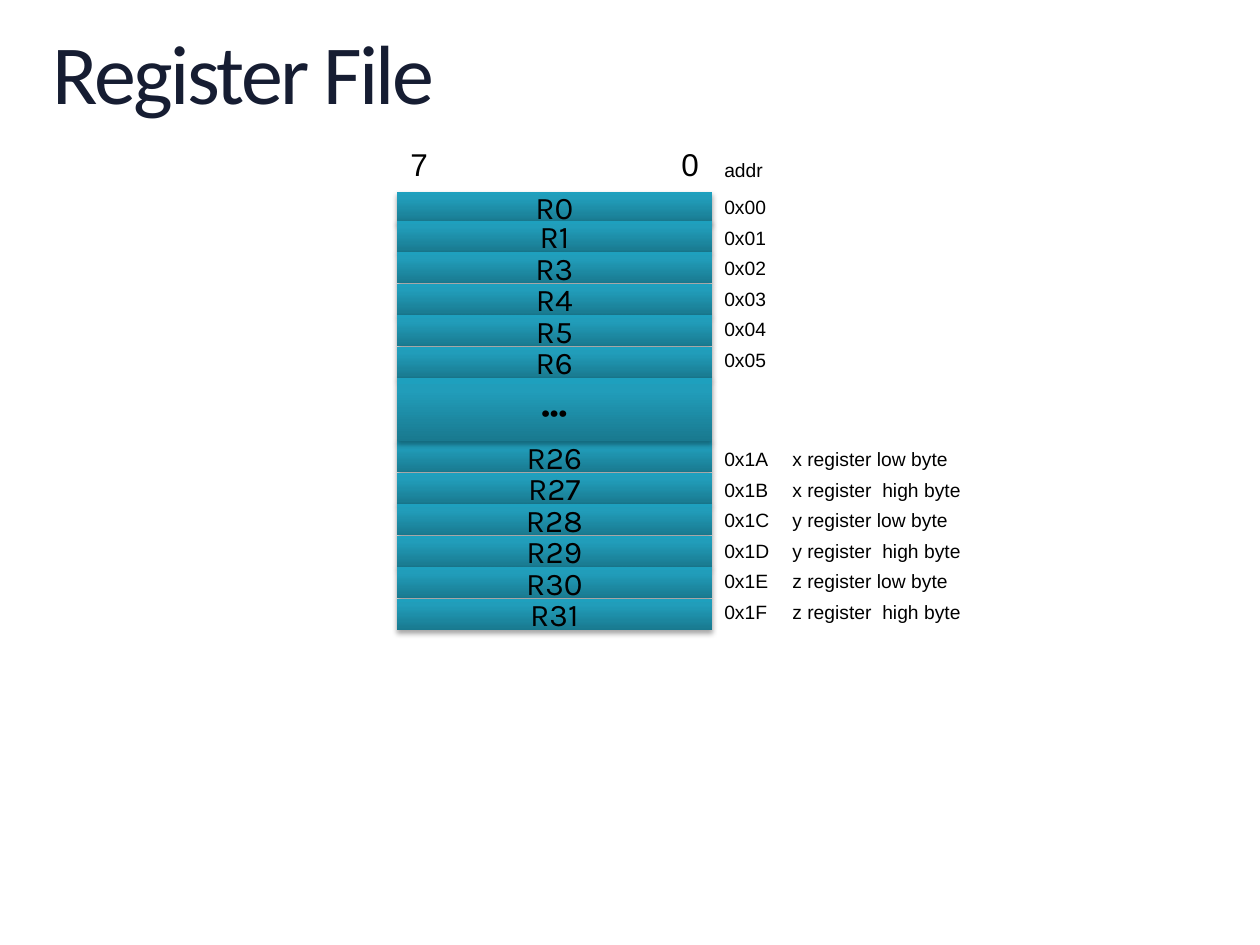
from lxml.etree import SubElement
from pptx import Presentation
from pptx.dml.color import RGBColor
from pptx.enum.shapes import MSO_SHAPE
from pptx.enum.text import MSO_ANCHOR, PP_ALIGN
from pptx.oxml.ns import qn
from pptx.util import Inches, Pt

ROW = 0.25          # height of one register
ADDR_PITCH = 0.2425  # distance between address labels
ADDR_W = 0.54
LOW = ["R0", "R1", "R3", "R4", "R5", "R6"]
HIGH = ["R26", "R27", "R28", "R29", "R30", "R31"]
LOW_ADDR = ["0x00", "0x01", "0x02", "0x03", "0x04", "0x05"]
HIGH_ADDR = ["0x1A", "0x1B", "0x1C", "0x1D", "0x1E", "0x1F"]
NOTES = [f"{name} register {byte} byte" for name in "xyz" for byte in ("low", " high")]
GRADIENT = [(0, "19798F"), (80, "219DBA"), (100, "1EA0BE")]


def rgb(value):
    return RGBColor.from_string(value)


def add_run(p, text, size, font, color="000000"):
    r = p.add_run()
    r.text = text
    r.font.size = Pt(size)
    r.font.name = font
    r.font.color.rgb = rgb(color)
    return r


def add_label(s, box, text, size=11, wrap=True):
    tf = s.shapes.add_textbox(*map(Inches, box)).text_frame
    tf.word_wrap = wrap
    add_run(tf.paragraphs[0], text, size, "Arial")
    return tf


def add_color(parent, value):
    return SubElement(parent, qn("a:srgbClr"), val=value)


def shade(sp):
    """Fill with the register gradient and cast a soft shadow below."""
    sp.fill.gradient()
    sp.fill.gradient_angle = 90
    stops = sp.fill.gradient_stops
    gs_list = sp._element.spPr.find(qn("a:gradFill")).find(qn("a:gsLst"))
    for gs in list(gs_list)[:len(stops)]:
        gs_list.remove(gs)
    for position, value in GRADIENT:
        add_color(SubElement(gs_list, qn("a:gs"), pos=str(position * 1000)), value)
    sp.line.fill.background()
    sp.shadow.inherit = False
    effects = sp._element.spPr.find(qn("a:effectLst"))
    shadow = SubElement(effects, qn("a:outerShdw"), blurRad=str(Pt(3.1)),
                        dist=str(Pt(1.8)), dir="5400000", rotWithShape="0")
    SubElement(add_color(shadow, "000000"), qn("a:alpha"), val="35000")


def add_register(s, box, text):
    sp = s.shapes.add_shape(MSO_SHAPE.RECTANGLE, *map(Inches, box))
    shade(sp)
    tf = sp.text_frame
    tf.word_wrap = True
    tf.vertical_anchor = MSO_ANCHOR.MIDDLE
    p = tf.paragraphs[0]
    p.alignment = PP_ALIGN.CENTER
    add_run(p, text, 18, "Karla")


def add_title(s, box, text):
    tf = s.shapes.add_textbox(*map(Inches, box)).text_frame
    tf.word_wrap = True
    tf.margin_left = tf.margin_right = tf.margin_top = tf.margin_bottom = 0
    p = tf.paragraphs[0]
    p.line_spacing = 0.9
    r = add_run(p, text, 48, "Calibri", "161D32")
    r.font._element.set("spc", "-150")


def add_register_stack(s, x, y, w):
    gap_row = len(LOW)
    high_row = gap_row + 2
    add_register(s, (x, y + 0.02, w, ROW), LOW[0])
    rows = list(enumerate(LOW))[1:] + list(enumerate(HIGH, high_row))
    for row, name in rows:
        add_register(s, (x, y + row * ROW, w, ROW), name)
    add_register(s, (x, y + gap_row * ROW, w, 2 * ROW), "•••")
    bit_w = 0.34
    for bit, left in (("7", x + 0.01), ("0", x + w - bit_w)):
        add_label(s, (left, y - 0.4, bit_w, 0.4), bit, 18, wrap=False)


def add_label_column(s, x, y, w, texts):
    for i, text in enumerate(texts):
        add_label(s, (x, y + i * ADDR_PITCH, w, 0.29), text)


def add_addresses(s, x, y):
    high_y = y + (len(LOW) + 2) * ROW
    add_label(s, (x, y - 0.29, ADDR_W, 0.29), "addr")
    add_label_column(s, x, y, ADDR_W, LOW_ADDR)
    add_label_column(s, x, high_y, 0.77, HIGH_ADDR)
    add_label_column(s, x + ADDR_W, high_y, 1.83, NOTES)


def main():
    prs = Presentation()
    prs.slide_width, prs.slide_height = Inches(10), Inches(7.5)
    s = prs.slides.add_slide(prs.slide_layouts[6])
    left, top, width = 3.15, 1.5, 2.5
    add_title(s, (0.42, 0.25, 9.17, 0.73), "Register File")
    add_register_stack(s, left, top, width)
    add_addresses(s, left + width, top)
    prs.save("out.pptx")


if __name__ == "__main__":
    main()
